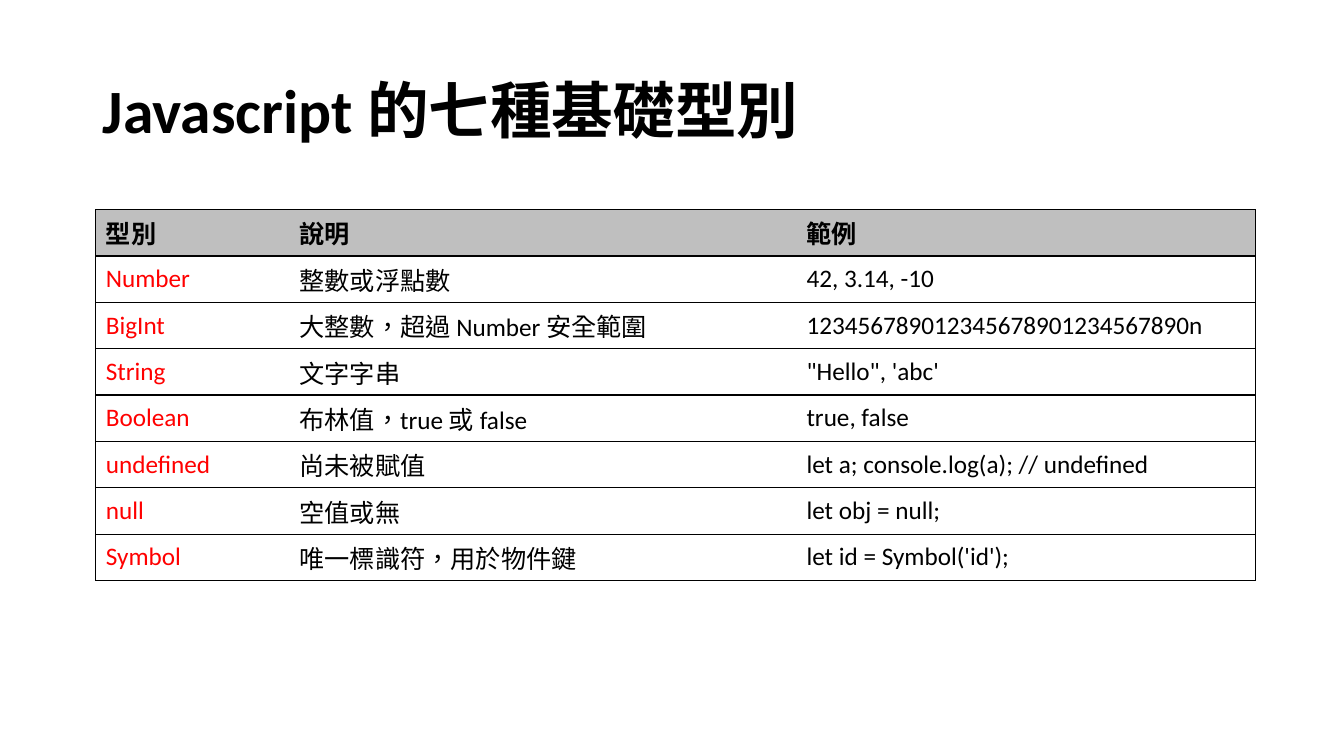
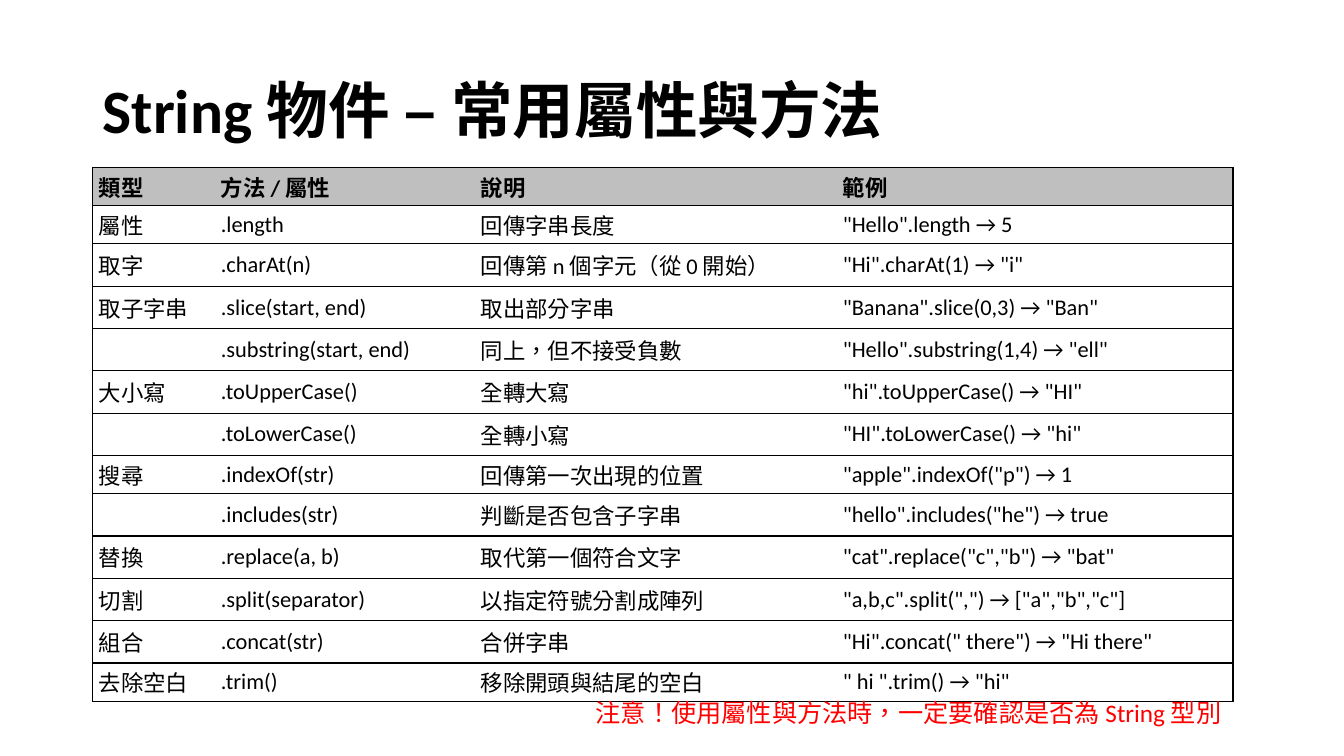
import dataclasses

import lxml.etree
import pptx
import pptx.dml.color
import pptx.enum.lang
import pptx.enum.text
import pptx.oxml.ns
import pptx.util

# Shared scale, colours and type
PX = 9144  # 100 px to the inch
WIDE, HIGH = 1333, 750
BLACK = pptx.dml.color.RGBColor(0x00, 0x00, 0x00)
WHITE = pptx.dml.color.RGBColor(0xFF, 0xFF, 0xFF)
RED = pptx.dml.color.RGBColor(0xFF, 0x00, 0x00)
GREY = pptx.dml.color.RGBColor(0xBF, 0xBF, 0xBF)
FONT = "Calibri"
MIDDLE = pptx.enum.text.MSO_ANCHOR.MIDDLE
LANG = pptx.enum.lang.MSO_LANGUAGE_ID.TRADITIONAL_CHINESE


@dataclasses.dataclass(frozen=True)
class Box:
    left: int
    top: int
    width: int
    height: int


@dataclasses.dataclass(frozen=True)
class Grid:
    left: int
    top: int
    cols: list[int]
    rows: list[int]
    cells: list[tuple[str, ...]]
    size: int
    side: int  # left and right cell margin
    edge: int  # top and bottom cell margin
    lead: pptx.dml.color.RGBColor = BLACK  # first column, below the header


HEAD = Box(92, 40, 1150, 145)
NOTE = Box(581, 687, 661, 40)

TYPES = Grid(
    left=95, top=208, cols=[192, 503, 455], rows=[46] * 8,
    size=18, side=10, edge=5, lead=RED,
    cells=[
        ("型別", "說明", "範例"),
        ("Number", "整數或浮點數", "42, 3.14, -10"),
        ("BigInt", "大整數，超過 Number 安全範圍", "123456789012345678901234567890n"),
        ("String", "文字字串", "\"Hello\", 'abc'"),
        ("Boolean", "布林值，true 或 false", "true, false"),
        ("undefined", "尚未被賦值", "let a; console.log(a); // undefined"),
        ("null", "空值或無", "let obj = null;"),
        ("Symbol", "唯一標識符，用於物件鍵", "let id = Symbol('id');"),
    ],
)

LOW, TALL = 38, 42
STRINGS = Grid(
    left=92, top=166, cols=[121, 258, 359, 393],
    rows=[LOW] * 2 + [TALL] * 5 + [LOW] + [TALL] * 4 + [LOW],
    size=16, side=6, edge=3,
    cells=[
        ("類型", "方法 / 屬性", "說明", "範例"),
        ("屬性", ".length", "回傳字串長度", '"Hello".length → 5'),
        ("取字", ".charAt(n)", "回傳第 n 個字元（從 0 開始）", '"Hi".charAt(1) → "i"'),
        ("取子字串", ".slice(start, end)", "取出部分字串", '"Banana".slice(0,3) → "Ban"'),
        ("", ".substring(start, end)", "同上，但不接受負數", '"Hello".substring(1,4) → "ell"'),
        ("大小寫", ".toUpperCase()", "全轉大寫", '"hi".toUpperCase() → "HI"'),
        ("", ".toLowerCase()", "全轉小寫", '"HI".toLowerCase() → "hi"'),
        ("搜尋", ".indexOf(str)", "回傳第一次出現的位置", '"apple".indexOf("p") → 1'),
        ("", ".includes(str)", "判斷是否包含子字串", '"hello".includes("he") → true'),
        ("替換", ".replace(a, b)", "取代第一個符合文字", '"cat".replace("c","b") → "bat"'),
        ("切割", ".split(separator)", "以指定符號分割成陣列", '"a,b,c".split(",") → ["a","b","c"]'),
        ("組合", ".concat(str)", "合併字串", '"Hi".concat(" there") → "Hi there"'),
        ("去除空白", ".trim()", "移除開頭與結尾的空白", '" hi ".trim() → "hi"'),
    ],
)


def px(count: int) -> pptx.util.Emu:
    return pptx.util.Emu(count * PX)


def write(frame, text: str, *, size: int, color=BLACK, bold=False, space=1.0) -> None:
    """Put one formatted line of text into a text frame."""
    line = frame.paragraphs[0]
    line.line_spacing = space
    run = line.add_run()
    run.text = text
    font = run.font
    font.name, font.size, font.bold = FONT, pptx.util.Pt(size), bold
    font.color.rgb = color
    font.language_id = LANG


def label(slide, box: Box, text: str, *, wrap=True, anchor=MIDDLE, **style) -> None:
    shape = slide.shapes.add_textbox(*map(px, dataclasses.astuple(box)))
    frame = shape.text_frame
    frame.word_wrap = wrap
    frame.vertical_anchor = anchor
    write(frame, text, **style)


def rule(cell, sides: str) -> None:
    """Draw black 1 pt borders on the named sides and clear the others."""
    qn = pptx.oxml.ns.qn
    props = cell._tc.get_or_add_tcPr()
    for side in "LRTB":
        line = lxml.etree.SubElement(props, qn(f"a:ln{side}"), w=str(pptx.util.Pt(1)))
        if side in sides:
            fill = lxml.etree.SubElement(line, qn("a:solidFill"))
            lxml.etree.SubElement(fill, qn("a:srgbClr"), val=str(BLACK))
        else:
            lxml.etree.SubElement(line, qn("a:noFill"))


def draw(slide, grid: Grid) -> None:
    """Draw a grey-headed table ruled by rows, with an outer frame."""
    count, last = len(grid.rows), len(grid.cols) - 1
    area = (grid.left, grid.top, sum(grid.cols), sum(grid.rows))
    table = slide.shapes.add_table(count, last + 1, *map(px, area)).table
    table.horz_banding = False
    for col, width in zip(table.columns, grid.cols):
        col.width = px(width)
    for row, height in zip(table.rows, grid.rows):
        row.height = px(height)
    for r, texts in enumerate(grid.cells):
        for c, text in enumerate(texts):
            cell = table.cell(r, c)
            cell.margin_left = cell.margin_right = px(grid.side)
            cell.margin_top = cell.margin_bottom = px(grid.edge)
            cell.vertical_anchor = MIDDLE
            rule(cell, "TB" + "L" * (c == 0) + "R" * (c == last))
            cell.fill.solid()
            cell.fill.fore_color.rgb = WHITE if r else GREY
            if text:
                color = grid.lead if r and c == 0 else BLACK
                write(cell.text_frame, text, size=grid.size, color=color, bold=r == 0)


def page(deck, title: str, grid: Grid):
    """Add a slide with the shared title style and a table."""
    slide = deck.slides.add_slide(deck.slide_layouts[6])
    label(slide, HEAD, title, size=44, bold=True, space=0.9)
    draw(slide, grid)
    return slide


def main() -> None:
    deck = pptx.Presentation()
    deck.slide_width, deck.slide_height = px(WIDE), px(HIGH)

    # Basic types
    page(deck, "Javascript 的七種基礎型別", TYPES)

    # String members, with a warning below
    slide = page(deck, "String 物件 – 常用屬性與方法", STRINGS)
    label(slide, NOTE, "注意！使用屬性與方法時，一定要確認是否為 String 型別",
          wrap=False, anchor=pptx.enum.text.MSO_ANCHOR.TOP, size=18, color=RED)

    deck.save("out.pptx")


if __name__ == "__main__":
    main()
